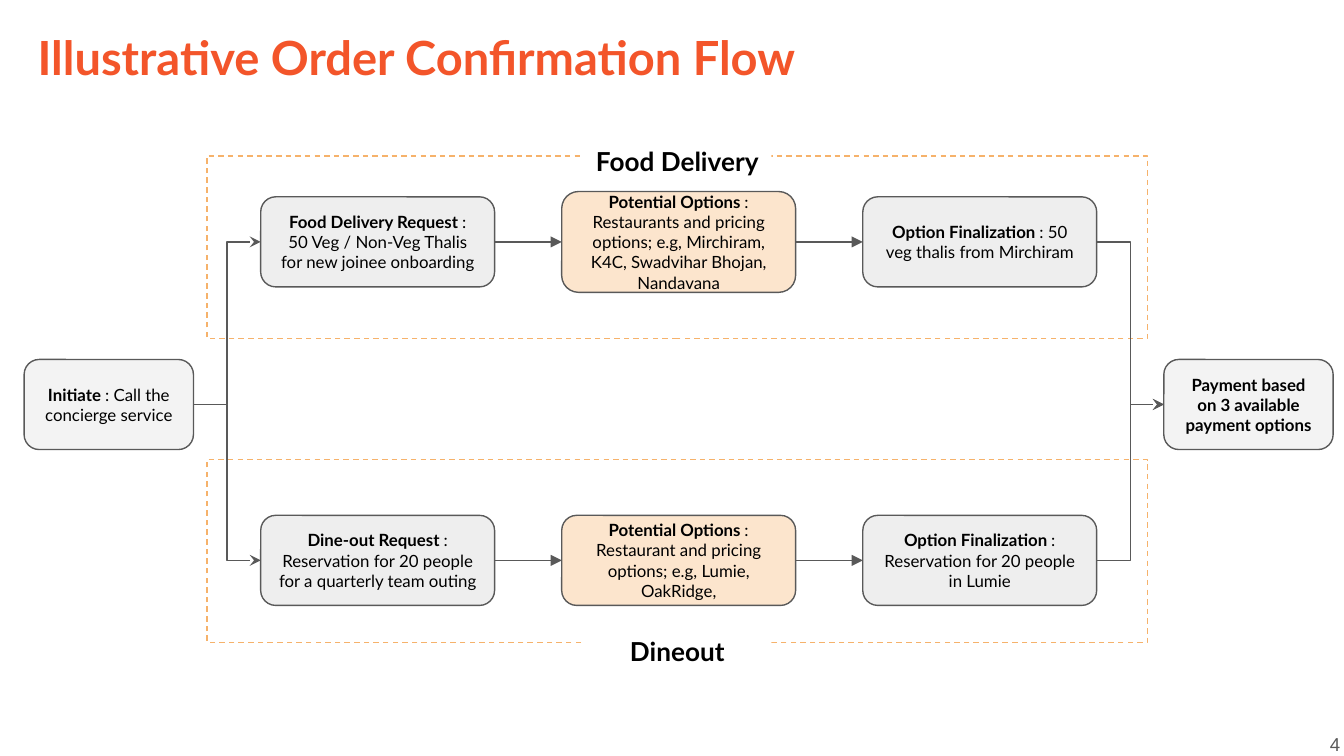
from lxml import etree
from pptx import Presentation
from pptx.dml.color import RGBColor
from pptx.enum import dml, shapes, text
from pptx.oxml.ns import qn
from pptx.util import Inches, Pt

ORANGE = RGBColor(0xF3, 0x55, 0x2A)
AMBER = RGBColor(0xF6, 0xB2, 0x6B)
PEACH = RGBColor(0xFC, 0xE5, 0xCD)
LIGHT = RGBColor(0xF3, 0xF3, 0xF3)
GREY = RGBColor(0xEE, 0xEE, 0xEE)
DARK = RGBColor(0x59, 0x59, 0x59)
BLACK = RGBColor(0, 0, 0)
WHITE = RGBColor(0xFF, 0xFF, 0xFF)

LEFT, RIGHT = 1, 3  # connection sites of a rounded rectangle
STEP_W, STEP_H, END_W = 1.74, 0.67, 1.26
STEP_X, STEP_PITCH = 1.94, 2.24
TOP_Y, MID_Y, BOTTOM_Y = 1.8, 3.01, 4.17


def add_step(x, mid_y, w, h, fill, heading, detail):
    """Add a rounded box centred on mid_y, with a bold heading and plain detail."""
    sp = s.shapes.add_shape(shapes.MSO_SHAPE.ROUNDED_RECTANGLE, Inches(x),
                            Inches(mid_y - h / 2), Inches(w), Inches(h))
    sp.shadow.inherit = False
    sp.fill.solid()
    sp.fill.fore_color.rgb = fill
    sp.line.color.rgb = DARK
    sp.line.width = Pt(0.75)
    tf = sp.text_frame
    tf.word_wrap = True
    tf.vertical_anchor = text.MSO_ANCHOR.MIDDLE
    tf.margin_left = tf.margin_right = tf.margin_top = tf.margin_bottom = Inches(0.1)
    p = tf.paragraphs[0]
    p.alignment = text.PP_ALIGN.CENTER
    p.font.name, p.font.size, p.font.color.rgb = "Lato", Pt(9), BLACK
    for words, bold in ((heading, True), (detail, False)):
        if words:
            r = p.add_run()
            r.text, r.font.bold = words, bold
    return sp


def link(start, end, kind, head):
    """Join the right side of start to the left side of end with an arrow."""
    c = s.shapes.add_connector(kind, 0, 0, 0, 0)
    c.begin_connect(start, RIGHT)
    c.end_connect(end, LEFT)
    c.line.color.rgb = DARK
    c.line.width = Pt(0.75)
    etree.SubElement(c.line._get_or_add_ln(), qn("a:tailEnd"), type=head)
    etree.SubElement(c._element.spPr, qn("a:effectLst"))


prs = Presentation()
prs.slide_width = Inches(10)
prs.slide_height = prs.slide_width * 9 // 16
s = prs.slides.add_slide(prs.slide_layouts[5])

# Dashed frames
for y in (1.16, 3.42):
    frame = s.shapes.add_shape(shapes.MSO_SHAPE.RECTANGLE, Inches(1.54), Inches(y),
                               Inches(7), Inches(1.36))
    frame.shadow.inherit = False
    frame.fill.background()
    frame.line.color.rgb = AMBER
    frame.line.width = Pt(0.75)
    frame.line.dash_style = dml.MSO_LINE.DASH

# Title
title = s.shapes.title
title.left, title.top = Inches(0.18), Inches(0.11)
title.width, title.height = Inches(9.64), Inches(0.63)
tf = title.text_frame
tf.text = "Illustrative Order Confirmation Flow"
tf.auto_size = text.MSO_AUTO_SIZE.NONE
tf.vertical_anchor = text.MSO_ANCHOR.TOP
tf.margin_left = tf.margin_right = tf.margin_top = tf.margin_bottom = Inches(0.1)
p = tf.paragraphs[0]
p.alignment = text.PP_ALIGN.LEFT
p.font.name, p.font.size, p.font.bold = "Lato", Pt(25.2), True
p.font.color.rgb = ORANGE

# Page number
number = s.shapes.add_textbox(Inches(9.47), Inches(5.32), Inches(0.6), Inches(0.43))
tf = number.text_frame
tf.text = "4"
tf.word_wrap = True
tf.vertical_anchor = text.MSO_ANCHOR.MIDDLE
tf.margin_left = tf.margin_right = tf.margin_top = tf.margin_bottom = Inches(0.1)
p = tf.paragraphs[0]
p.alignment = text.PP_ALIGN.RIGHT
p.font.name, p.font.size, p.font.color.rgb = "Arial", Pt(10), DARK

# Flow: one start, two rows of three steps, one end
initiate = add_step(0.18, MID_Y, END_W, STEP_H, LIGHT,
                    "Initiate ", ": Call the concierge service")
payment = add_step(8.66, MID_Y, END_W, STEP_H, LIGHT,
                   "Payment based on 3 available payment options", "")
rows = [
    (TOP_Y, 0.75, [
        ("Food Delivery Request ", ": 50 Veg / Non-Veg Thalis for new joinee onboarding"),
        ("Potential Options ", ": Restaurants and pricing options; e.g, Mirchiram, "
                               "K4C, Swadvihar Bhojan, Nandavana"),
        ("Option Finalization ", ": 50 veg thalis from Mirchiram"),
    ]),
    (BOTTOM_Y, STEP_H, [
        ("Dine-out Request ", ": Reservation for 20 people for a quarterly team outing"),
        ("Potential Options ", ": Restaurant and pricing options; e.g, Lumie, OakRidge,"),
        ("Option Finalization ", ": Reservation for 20 people in Lumie"),
    ]),
]
for mid_y, options_h, steps in rows:
    looks = [(STEP_H, GREY), (options_h, PEACH), (STEP_H, GREY)]
    request, options, final = [
        add_step(STEP_X + i * STEP_PITCH, mid_y, STEP_W, h, fill, heading, detail)
        for i, ((h, fill), (heading, detail)) in enumerate(zip(looks, steps))]
    link(initiate, request, shapes.MSO_CONNECTOR.ELBOW, "stealth")
    link(request, options, shapes.MSO_CONNECTOR.STRAIGHT, "triangle")
    link(options, final, shapes.MSO_CONNECTOR.STRAIGHT, "triangle")
    link(final, payment, shapes.MSO_CONNECTOR.ELBOW, "stealth")

# Frame labels
for y, name in ((0.99, "Food Delivery"), (4.64, "Dineout")):
    label = s.shapes.add_shape(shapes.MSO_SHAPE.RECTANGLE, Inches(4.34), Inches(y),
                               Inches(1.4), Inches(0.27))
    label.shadow.inherit = False
    label.fill.solid()
    label.fill.fore_color.rgb = WHITE
    label.line.fill.background()
    tf = label.text_frame
    tf.text = name
    tf.word_wrap = True
    tf.auto_size = text.MSO_AUTO_SIZE.SHAPE_TO_FIT_TEXT
    tf.vertical_anchor = text.MSO_ANCHOR.TOP
    tf.margin_left = tf.margin_right = Inches(0.04)
    tf.margin_top = tf.margin_bottom = Inches(0.02)
    p = tf.paragraphs[0]
    p.alignment = text.PP_ALIGN.CENTER
    p.line_spacing = 1.3
    p.font.name, p.font.size, p.font.bold = "Lato", Pt(14), True
    p.font.color.rgb = BLACK

prs.save("out.pptx")
